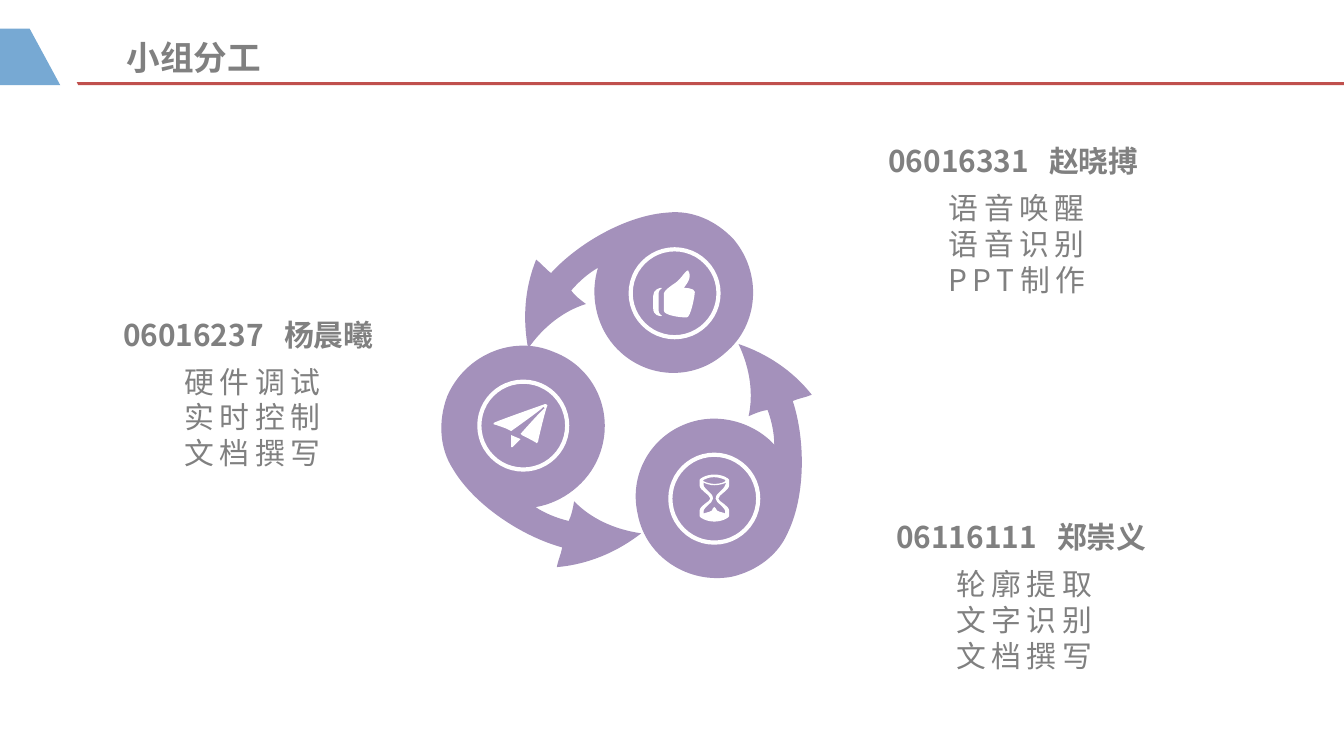
from math import cos, radians, sin

from lxml.etree import SubElement
from pptx import Presentation
from pptx.dml.color import RGBColor
from pptx.enum.shapes import MSO_SHAPE as Shape
from pptx.enum.text import MSO_ANCHOR as Anchor, PP_ALIGN as Align
from pptx.oxml.ns import qn
from pptx.util import Cm, Pt

PURPLE = RGBColor(0xA4, 0x91, 0xBB)
BLUE = RGBColor(0x77, 0xA9, 0xD3)
RED = RGBColor(0xC0, 0x50, 0x4D)
GREY = RGBColor(0x80, 0x80, 0x80)
WHITE = RGBColor(0xFF, 0xFF, 0xFF)
FONT = "Noto Sans CJK SC"
GRID = Cm(2.54) / 100  # one unit of the outlines below

# Outlines are drawn around the centre of a ring: M move, L line, C curve.
ARROW = """M -92 -15 C -72 -37 -36 -58 -5 -60 C -5 -60 -5 -60 -5 -60
C 13 -62 31 -54 44 -40 C 65 -15 63 23 38 44 C 14 66 -23 64 -45 39
C -59 23 -63 0 -57 -19 C -64 -15 -71 -9 -77 -2 C -74 2 -70 5 -66 8
C -82 13 -97 24 -109 41 C -113 20 -112 -3 -103 -25 C -99 -22 -96 -18 -92 -15"""
THUMB = """M -10 -4 C -11 -4 -16 -3 -16 2 L -16 11 C -16 17 -11 17 -10 17
C -8 17 -12 16 -12 13 L -12 0 C -12 -3 -8 -4 -10 -4
M 7 -4 C 7 -5 14 -11 10 -17 C 9 -18 5 -11 1 -8 C -2 -6 -8 -2 -8 0 L -8 13
C -8 16 2 18 9 18 C 12 18 15 2 15 -1 C 15 -4 7 -4 7 -4"""
HOURGLASS = """M 1 0 C 1 2 3 3 5 5 C 6 6 8 8 8 9 L 8 11 C 7 10 1 10 1 7
C 1 6 -1 6 -1 7 C -1 10 -6 10 -8 11 L -8 9 C -8 8 -6 6 -5 5 C -3 3 -1 2 -1 0
C -1 -3 -3 -4 -5 -6 C -6 -7 -8 -9 -8 -10 L -8 -12 C -6 -11 -3 -10 0 -10
C 3 -10 7 -11 9 -12 L 8 -10 C 8 -9 6 -7 5 -6 C 3 -4 1 -3 1 0
M -8 -14 C -6 -15 -4 -16 0 -16 C 4 -16 8 -14 8 -14 C 8 -14 9 -13 8 -13
C 7 -12 4 -11 0 -11 C -3 -11 -6 -12 -8 -13 C -9 -13 -8 -14 -8 -14
M 11 -10 C 11 -14 11 -14 11 -14 C 11 -15 6 -18 0 -18 C -6 -18 -11 -15 -11 -14
C -11 -14 -11 -14 -11 -10 C -11 -6 -3 -3 -3 0 C -3 2 -11 5 -11 9
C -11 13 -11 13 -11 13 C -11 14 -6 17 0 17 C 6 17 11 14 11 13
C 11 13 11 13 11 9 C 11 5 3 2 3 0 C 3 -3 11 -6 11 -10"""
PLANE = """M -9 16 C -9 16 -8 16 -8 16 C -7 15 -2 10 -2 10 L -9 7
C -9 7 -9 16 -9 16
M 16 -16 C 16 -16 -21 -3 -22 -2 C -22 -2 -22 -2 -22 -1 C -21 -1 -13 2 -13 2
L -9 4 C -9 4 15 -13 15 -14 C 15 -14 16 -13 16 -13 C 15 -13 -1 5 -1 5
L -2 6 L -1 7 C -1 7 9 12 10 13 C 10 13 11 13 11 12 C 11 11 17 -14 18 -15
C 18 -16 17 -16 16 -16"""

# Centre x and y in cm, turn in degrees, scale of the arrow, icon
NODES = [
    (9.89, 8.04, 243, 1.02, PLANE),
    (12.75, 5.54, 0, 1, THUMB),
    (13.5, 9.42, 119.5, 1, HOURGLASS),
]
# Left, top and width in cm, number, name, tasks
MEMBERS = [
    (2.08, 5.82, 5.38, "06016237", "杨晨曦", ["硬件调试", "实时控制", "文档撰写"]),
    (16.54, 2.54, 5.36, "06016331", "赵晓搏", ["语音唤醒", "语音识别", "PPT制作"]),
    (16.69, 9.65, 5.33, "06116111", "郑崇义", ["轮廓提取", "文字识别", "文档撰写"]),
]


def contours(outline, x, y, turn=0, scale=1):
    """List the steps of each contour, turned and scaled around x, y."""
    c, s = (f(radians(turn)) * scale * GRID for f in (cos, sin))
    result = []
    for contour in outline.split("M")[1:]:
        steps = []
        for step in contour.replace("L", "|").replace("C", "|").split("|"):
            numbers = [float(n) for n in step.split()]
            steps.append([(x + px * c - py * s, y + px * s + py * c)
                          for px, py in zip(numbers[::2], numbers[1::2])])
        result.append(steps)
    return result


def add_outline(shapes, outline, color):
    """Draw contours whose steps hold one point (a line) or three (a curve)."""
    builder = shapes.build_freeform(*outline[0][0][0])
    for index, (start, *steps) in enumerate(outline):
        if index:
            builder.move_to(*start[0])
        builder.add_line_segments([p for step in steps for p in step], close=True)
    shape = builder.convert_to_shape()

    lines = shape._element.iter(qn("a:lnTo"))
    lines = iter(list(lines))
    for step in [step for _, *steps in outline for step in steps]:
        parts = [next(lines) for _ in step]
        if len(parts) == 3:
            parts[0].tag = qn("a:cubicBezTo")
            for extra in parts[1:]:
                parts[0].append(extra[0])
                extra.getparent().remove(extra)

    shape.shadow.inherit = False
    shape.fill.solid()
    shape.fill.fore_color.rgb = color
    shape.line.fill.background()


def add_run(paragraph, text, size, bold, spacing=0):
    run = paragraph.add_run()
    run.text = text
    for key, value in dict(name=FONT, size=Pt(size), bold=bold).items():
        setattr(run.font, key, value)
    run.font.color.rgb = GREY
    properties = run.font._element
    SubElement(properties, qn("a:ea"), typeface=FONT)
    if spacing:
        properties.set("spc", str(spacing * 100))


def add_header(slide, left, top, width, height):
    bottom = top + height
    right = left + width
    bar_top = bottom - Cm(0.06)
    bar = [(Cm(1.45), bar_top), (right, bar_top), (right, bottom), (Cm(1.48), bottom)]
    tab = [(left + Cm(0.56), top), (left + Cm(1.14), bottom), (left, bottom), (left, top)]
    for corners, color in ((bar, RED), (tab, BLUE)):
        add_outline(slide.shapes, [[[corner] for corner in corners]], color)

    title = slide.shapes.title
    box = dict(left=left + Cm(2.39), top=top + Cm(0.01), width=Cm(5.92), height=height)
    for key, value in box.items():
        setattr(title, key, value)
    frame = title.text_frame
    layout = dict(margin_left=0, margin_right=0, margin_top=Cm(0.13),
                  margin_bottom=Cm(0.13), vertical_anchor=Anchor.MIDDLE, word_wrap=True)
    for key, value in layout.items():
        setattr(frame, key, value)
    frame.paragraphs[0].alignment = Align.LEFT
    add_run(frame.paragraphs[0], "小组分工", 18, True)


def add_node(slide, x, y, turn, scale, icon):
    """Add an arrow, its ring and its icon around the point x, y."""
    group = slide.shapes.add_group_shape().shapes
    add_outline(group, contours(ARROW, x, y, turn, scale), PURPLE)
    radius = Cm(0.83)
    ring = group.add_shape(Shape.OVAL, x - radius, y - radius, 2 * radius, 2 * radius)
    ring.shadow.inherit = False
    ring.fill.background()
    ring.line.color.rgb = WHITE
    ring.line.width = Pt(2.25)
    add_outline(group, contours(icon, x, y), WHITE)


def add_member(slide, left, top, width, height, number, name, tasks):
    frame = slide.shapes.add_textbox(left, top, width, height).text_frame
    frame.word_wrap = True
    heading = frame.paragraphs[0]
    tabs = SubElement(heading._p.get_or_add_pPr(), qn("a:tabLst"))
    SubElement(tabs, qn("a:tab"), pos=str(Cm(3.04)), algn="l")
    heading.line_spacing = Pt(20)
    heading.space_after = Pt(6)
    add_run(heading, f"{number}\t{name}", 16, True)
    for task in tasks:
        paragraph = frame.add_paragraph()
        paragraph.alignment = Align.CENTER
        paragraph.line_spacing = Pt(19.2)
        add_run(paragraph, task, 16, False, spacing=3)


def main():
    deck = Presentation()
    deck.slide_width, deck.slide_height = Cm(25.4), Cm(14.28)
    slide = deck.slides.add_slide(deck.slide_layouts[5])
    add_header(slide, 0, Cm(0.54), deck.slide_width, Cm(1.07))
    for x, y, turn, scale, icon in NODES:
        add_node(slide, Cm(x), Cm(y), turn, scale, icon)
    for left, top, width, *content in MEMBERS:
        add_member(slide, Cm(left), Cm(top), Cm(width), Cm(3.23), *content)
    deck.save("out.pptx")


if __name__ == "__main__":
    main()
